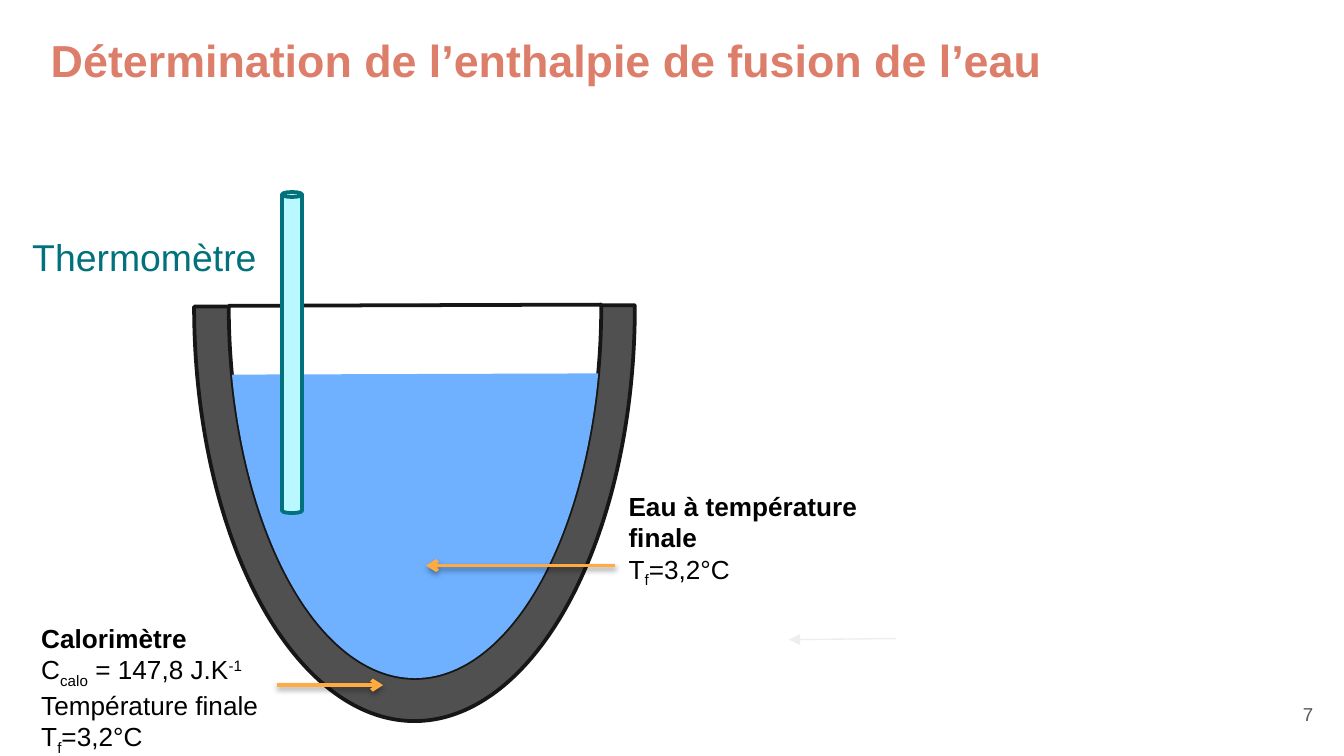
from dataclasses import dataclass

from lxml import etree
from pptx import Presentation
from pptx.dml.color import RGBColor as Rgb
from pptx.enum.shapes import MSO_CONNECTOR as Link, MSO_SHAPE as Preset
from pptx.enum.text import MSO_ANCHOR as Anchor, PP_ALIGN as Align
from pptx.oxml.ns import qn
from pptx.util import Cm, Pt


@dataclass(frozen=True)
class Theme:
    font: str = "Arial"
    title: str = "DD7E6B"
    number: str = "595959"
    text: str = "000000"
    wall: str = "505050"
    outline: str = "161616"
    inside: str = "FFFFFF"
    water: str = "6FB1FF"
    glass: str = "BAF8FF"
    teal: str = "00717D"
    arrow: str = "FFAB40"
    faint: str = "EEEEEE"
    title_size: int = 24
    label_size: int = 20
    body_size: int = 14
    number_size: int = 10


theme = Theme()
deck = Presentation()
deck.slide_width, deck.slide_height = Cm(25.4), Cm(14.29)
page = deck.slides.add_slide(deck.slide_layouts[6])


def add_text(place, paragraphs, size, color, inset=0.13):
    """Each paragraph is (bold, runs); each run is (text, baseline in percent)."""
    box = page.shapes.add_textbox(*map(Cm, place))
    frame = box.text_frame
    frame.word_wrap = True
    frame.margin_top = frame.margin_bottom = Cm(inset)
    for index, (bold, runs) in enumerate(paragraphs):
        para = frame.add_paragraph() if index else frame.paragraphs[0]
        para.font.name, para.font.size, para.font.bold = theme.font, Pt(size), bold
        para.font.color.rgb = Rgb.from_string(color)
        for text, baseline in runs:
            span = para.add_run()
            span.text = text
            if baseline:
                span.font._element.set("baseline", str(baseline * 1000))
    return box


def add_arrow(start, end, color, width, head, shadow=False):
    arrow = page.shapes.add_connector(Link.STRAIGHT, *map(Cm, start + end))
    arrow.line.color.rgb = Rgb.from_string(color)
    arrow.line.width = Pt(width)
    properties = arrow.element.spPr
    etree.SubElement(properties.find(qn("a:ln")), qn("a:tailEnd"),
                     type=head, w="med", len="med")
    effects = etree.SubElement(properties, qn("a:effectLst"))
    if shadow:
        outer = etree.SubElement(effects, qn("a:outerShdw"), blurRad=str(Pt(3.1)),
                                 dist=str(Pt(1.6)), dir="5400000", rotWithShape="0")
        black = etree.SubElement(outer, qn("a:srgbClr"), val="000000")
        etree.SubElement(black, qn("a:alpha"), val="38000")
    return arrow


# Title and page number
add_text((0.71, 0.36, 23.67, 1.6),
         [(True, [("Détermination de l’enthalpie de fusion de l’eau", 0)])],
         theme.title_size, theme.title, inset=0.25)
number = add_text((23.55, 12.95, 1.52, 1.09), [(False, [("7", 0)])],
                  theme.number_size, theme.number, inset=0.25)
number.text_frame.vertical_anchor = Anchor.MIDDLE
number.text_frame.paragraphs[0].alignment = Align.RIGHT

# Calorimeter wall, cavity and water, then the thermometer
outer_place = (0, 1.63, 15.67, 8.33)
inner_place = (0.81, 2.26, 14.07, 7.04)
rim_angles = (89.64, 270)
water_angles = (110.25, 249.4)
vessel = [
    (Preset.CHORD, outer_place, rim_angles, theme.wall, theme.outline),
    (Preset.CHORD, inner_place, rim_angles, theme.inside, theme.outline),
    (Preset.CHORD, inner_place, water_angles, theme.water, None),
    (Preset.CAN, (5.33, 3.63, 0.38, 6.07), (), theme.glass, theme.teal),
]
for preset, place, angles, fill, outline in vessel:
    part = page.shapes.add_shape(preset, *map(Cm, place))
    part.shadow.inherit = False
    part.fill.solid()
    part.fill.fore_color.rgb = Rgb.from_string(fill)
    if outline:
        part.line.color.rgb = Rgb.from_string(outline)
        part.line.width = Pt(2)
    else:
        part.line.fill.background()
    if angles:
        part.rotation = 270
    for index, degrees in enumerate(angles):
        part.adjustments[index] = degrees * 0.6  # 60000 units per degree

# Labels
final_temperature = (False, [("T", 0), ("f", -25), ("=3,2°C", 0)])
add_text((0.36, 4.29, 5.36, 1.12), [(False, [("Thermomètre", 0)])],
         theme.label_size, theme.teal)
water_label = add_text(
    (11.63, 9.14, 5.16, 3.1),
    [(True, [("Eau à température finale", 0)]), final_temperature],
    theme.body_size, theme.text)
calorimeter_label = add_text(
    (0.53, 11.63, 4.7, 2.64),
    [(True, [("Calorimètre", 0)]),
     (False, [("C", 0), ("calo", -25), (" = 147,8 J.K", 0), ("-1", 30)]),
     (False, [("Température finale", 0)]),
     final_temperature],
    theme.body_size, theme.text)

# Arrows
add_arrow((16.94, 12.07), (14.91, 12.09), theme.faint, 0.75, "triangle")
water_arrow = add_arrow((11.63, 10.69), (8.05, 10.69), theme.arrow, 2, "arrow", shadow=True)
water_arrow.begin_connect(water_label, 1)
wall_arrow = add_arrow((5.23, 12.95), (7.24, 12.95), theme.arrow, 2, "arrow", shadow=True)
wall_arrow.begin_connect(calorimeter_label, 3)

deck.save("out.pptx")
